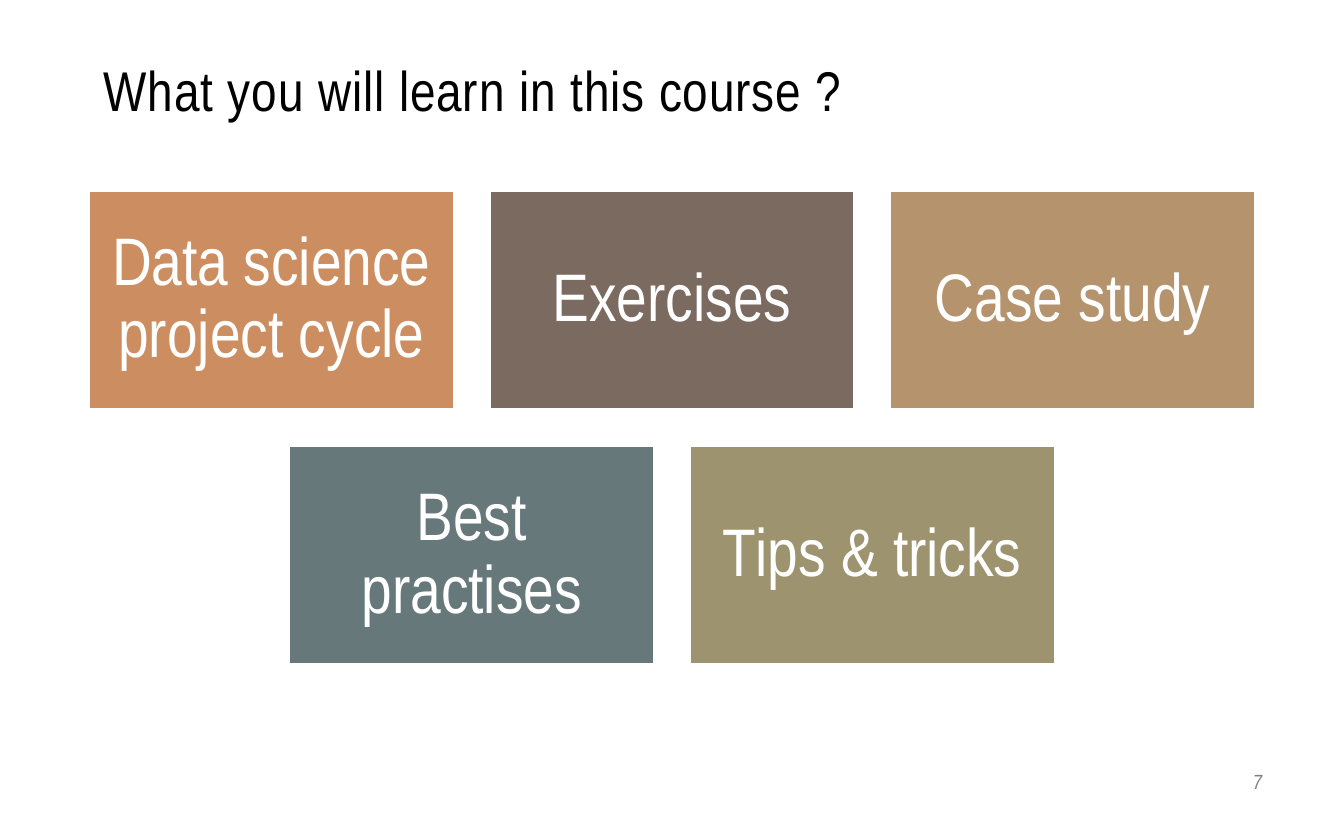
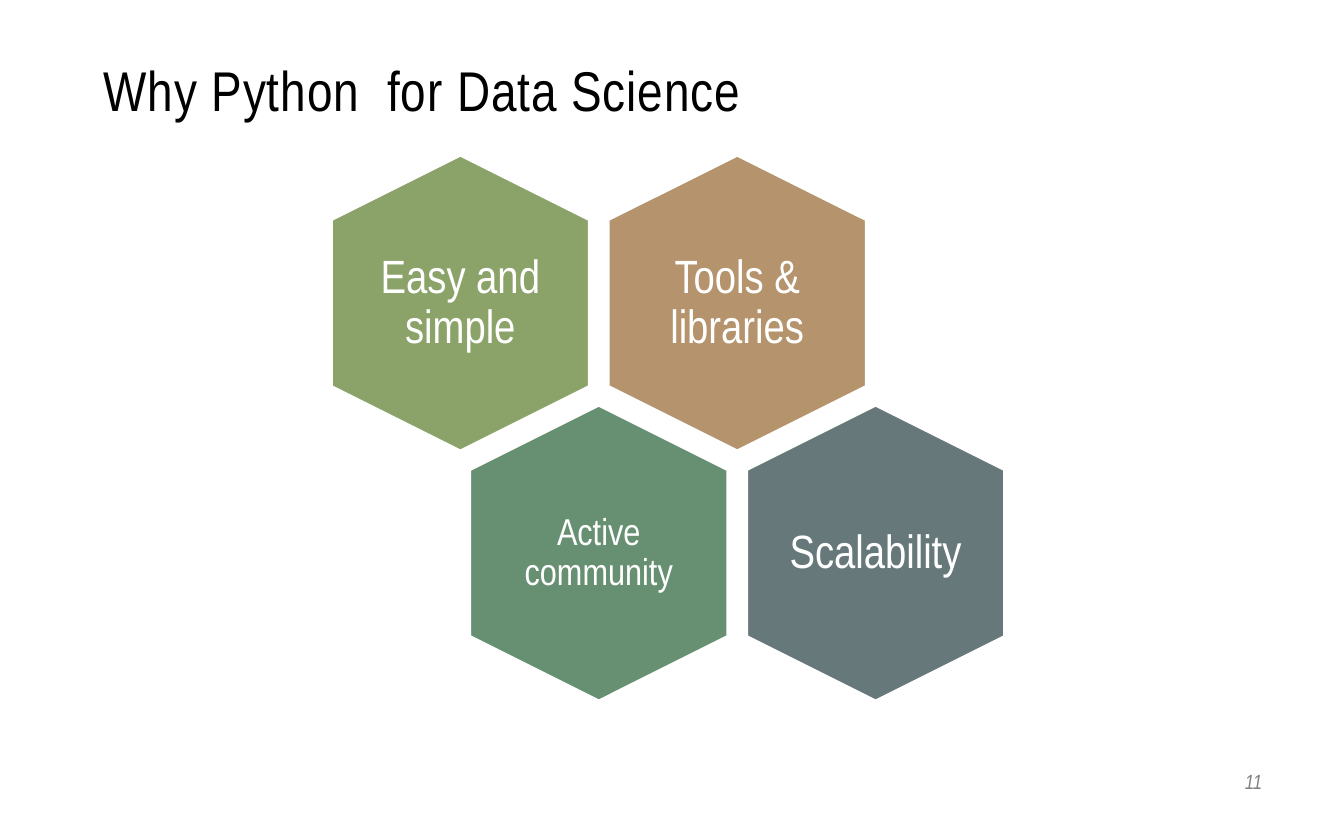
from dataclasses import dataclass

from pptx import Presentation
from pptx.dml.color import RGBColor
from pptx.enum.shapes import MSO_SHAPE
from pptx.enum.text import MSO_ANCHOR, MSO_AUTO_SIZE, PP_ALIGN
from pptx.util import Inches, Pt

FONT = "Arial Narrow"
COLOURS = {
    "black": "000000", "white": "FFFFFF", "grey": "808080",
    "orange": "CC8E60", "brown": "7A6A60", "tan": "B4936D",
    "slate": "67787B", "khaki": "9D936F", "olive": "8BA369", "green": "679072",
}

PAGE_WIDTH = 10
CARD_WIDTH, CARD_HEIGHT, CARD_GAP = 2.71, 1.62, 0.27
CARD_TOP, CARD_ROW_STEP = 1.42, 1.9
HEX_LENGTH, HEX_BREADTH = 2.19, 1.91
HEX_LEFT, HEX_TOP, HEX_STEP, HEX_ROW_STEP = 2.33, 1.3, 2.06, 1.86
LABEL_WIDTH, LABEL_HEIGHT = 1.31, 1.51


@dataclass
class Topic:
    """A coloured tile with its label, text size and text margin."""
    label: str
    colour: str
    size: float = 36
    margin: float = 0.15


COURSE_ROWS = [
    [Topic("Data science project cycle", "orange"), Topic("Exercises", "brown"),
     Topic("Case study", "tan")],
    [Topic("Best practises", "slate"), Topic("Tips & tricks", "khaki")],
]
REASON_ROWS = [
    [Topic("Easy and simple", "olive", 25, 0), Topic("Tools & libraries", "tan", 25, 0.1)],
    [Topic("Active community", "green", 20, 0.08), Topic("Scalability", "slate", 25, 0)],
]


def colour(name: str) -> RGBColor:
    """Return the named colour."""
    return RGBColor.from_string(COLOURS[name])


def write(frame, text: str, size: float, ink: str, align: PP_ALIGN, anchor: MSO_ANCHOR):
    """Fill a text frame with one formatted paragraph and return its run."""
    frame.text = text
    frame.word_wrap = True
    frame.auto_size = MSO_AUTO_SIZE.NONE
    frame.vertical_anchor = anchor
    para = frame.paragraphs[0]
    para.alignment = align
    span = para.runs[0]
    span.font.name = FONT
    span.font.size = Pt(size)
    span.font.color.rgb = colour(ink)
    return span


def write_label(frame, topic: Topic) -> None:
    """Write a topic's centred white label."""
    frame.margin_left = frame.margin_right = Inches(topic.margin)
    frame.margin_top = frame.margin_bottom = Inches(topic.margin)
    write(frame, topic.label, topic.size, "white", PP_ALIGN.CENTER, MSO_ANCHOR.MIDDLE)
    frame.paragraphs[0].line_spacing = 0.9


def add_tile(page, kind: MSO_SHAPE, left: float, top: float,
             width: float, height: float, fill: str):
    """Add a filled shape with a thin white outline."""
    tile = page.shapes.add_shape(kind, Inches(left), Inches(top), Inches(width), Inches(height))
    tile.shadow.inherit = False
    tile.fill.solid()
    tile.fill.fore_color.rgb = colour(fill)
    tile.line.color.rgb = colour("white")
    tile.line.width = Pt(0.85)
    return tile


def add_page(deck, title: str, number: int):
    """Add a page with its title and page number."""
    page = deck.slides.add_slide(deck.slide_layouts[5])
    heading = page.shapes.title
    heading.left, heading.top = Inches(0.67), Inches(0.25)
    heading.width, heading.height = Inches(8.67), Inches(0.71)
    span = write(heading.text_frame, title, 30, "black", PP_ALIGN.LEFT, MSO_ANCHOR.BOTTOM)
    span._r.get_or_add_rPr().set("spc", "50")
    box = page.shapes.add_textbox(Inches(9.02), Inches(5.67), Inches(0.47), Inches(0.29))
    span = write(box.text_frame, str(number), 11, "grey", PP_ALIGN.RIGHT, MSO_ANCHOR.TOP)
    span.font.italic = True
    return page


def add_cards(page, rows: list[list[Topic]]) -> None:
    """Draw rows of rectangular cards, each row centred on the page."""
    for row, topics in enumerate(rows):
        row_width = len(topics) * (CARD_WIDTH + CARD_GAP) - CARD_GAP
        start = (PAGE_WIDTH - row_width) / 2
        for column, topic in enumerate(topics):
            card = add_tile(page, MSO_SHAPE.RECTANGLE,
                            start + column * (CARD_WIDTH + CARD_GAP),
                            CARD_TOP + row * CARD_ROW_STEP,
                            CARD_WIDTH, CARD_HEIGHT, topic.colour)
            write_label(card.text_frame, topic)


def add_honeycomb(page, rows: list[list[Topic]]) -> None:
    """Draw upright hexagons, each row shifted by half a step."""
    for row, topics in enumerate(rows):
        for column, topic in enumerate(topics):
            left = HEX_LEFT + (column + row / 2) * HEX_STEP
            top = HEX_TOP + row * HEX_ROW_STEP
            cell = add_tile(page, MSO_SHAPE.HEXAGON, left, top,
                            HEX_LENGTH, HEX_BREADTH, topic.colour)
            cell.adjustments[0] = 0.25
            cell.rotation = 90
            box = page.shapes.add_textbox(
                Inches(left + (HEX_LENGTH - LABEL_WIDTH) / 2),
                Inches(top + (HEX_BREADTH - LABEL_HEIGHT) / 2),
                Inches(LABEL_WIDTH), Inches(LABEL_HEIGHT))
            write_label(box.text_frame, topic)


def main() -> None:
    """Build and save the deck."""
    deck = Presentation()
    deck.slide_width, deck.slide_height = Inches(PAGE_WIDTH), Inches(6.25)
    add_cards(add_page(deck, "What you will learn in this course ?", 7), COURSE_ROWS)
    add_honeycomb(add_page(deck, "Why Python  for Data Science", 11), REASON_ROWS)
    deck.save("out.pptx")


if __name__ == "__main__":
    main()
